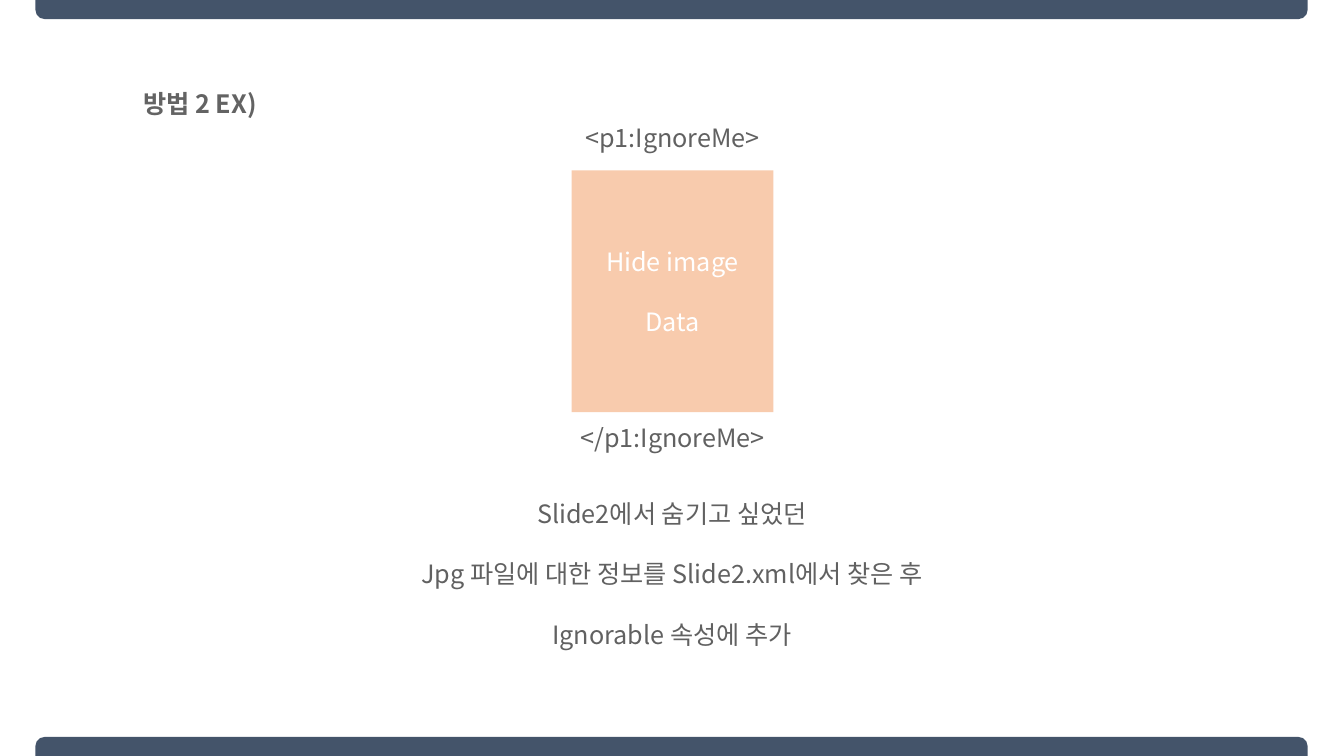
from dataclasses import dataclass

from lxml.etree import SubElement
from pptx import Presentation
from pptx.dml.color import RGBColor
from pptx.enum.shapes import MSO_SHAPE
from pptx.enum.text import MSO_ANCHOR, PP_ALIGN
from pptx.oxml.ns import qn
from pptx.util import Inches, Pt


@dataclass(frozen=True)
class Theme:
    """Colours, font and type sizes of the slide."""
    bar: RGBColor = RGBColor(0x44, 0x54, 0x6A)
    card: RGBColor = RGBColor(0xF8, 0xCB, 0xAD)
    heading: RGBColor = RGBColor(0x63, 0x63, 0x63)
    body: RGBColor = RGBColor(0x61, 0x61, 0x61)
    white: RGBColor = RGBColor(0xFF, 0xFF, 0xFF)
    font: str = "Noto Sans CJK KR"
    size: float = 18
    line: float = 21.6


THEME = Theme()


def write_lines(frame, lines, color, align=PP_ALIGN.CENTER, bold=False):
    """Write one paragraph per line, with one empty line's height between them."""
    frame.word_wrap = True
    for index, line in enumerate(lines):
        para = frame.paragraphs[0] if index == 0 else frame.add_paragraph()
        para.text = line
        para.alignment = align
        para.line_spacing = Pt(THEME.line)
        para.space_before = Pt(THEME.line if index else 0)
        font = para.font
        font.name, font.size, font.bold = THEME.font, Pt(THEME.size), bold
        font.color.rgb = color
        properties = para._p.pPr.find(qn("a:defRPr"))
        SubElement(properties, qn("a:ea")).set("typeface", THEME.font)


def add_text(slide, box, lines, color=THEME.body, **style):
    """Add a text box filling the given box."""
    frame = slide.shapes.add_textbox(*map(Inches, box)).text_frame
    write_lines(frame, lines, color, **style)


def add_filled_shape(slide, kind, box, color):
    """Add a flat shape without outline."""
    shape = slide.shapes.add_shape(kind, *map(Inches, box))
    shape.shadow.inherit = False
    shape.fill.solid()
    shape.fill.fore_color.rgb = color
    shape.line.fill.background()
    return shape


def add_edge_bars(slide, box):
    """Add the bars at the top and bottom edges, rounded towards the middle."""
    left, top, width, height = box
    thickness = 0.19
    for bar_top, rotation in ((top, 180), (top + height - thickness, 0)):
        bar = add_filled_shape(slide, MSO_SHAPE.ROUND_2_SAME_RECTANGLE,
                               (left, bar_top, width, thickness), THEME.bar)
        bar.adjustments[0] = 0.5
        bar.rotation = rotation


def add_tagged_card(slide, box):
    """Add the hidden data card between its opening and closing tags."""
    left, top, width, height = box
    tag_width, tag_height = 2.97, 0.71
    tag_left = left + (width - tag_width) / 2
    tags = (("<p1:IgnoreMe>", top - 0.53), ("</p1:IgnoreMe>", top + height + 0.05))
    for tag, tag_top in tags:
        add_text(slide, (tag_left, tag_top, tag_width, tag_height), [tag])
    card = add_filled_shape(slide, MSO_SHAPE.RECTANGLE, box, THEME.card)
    card.text_frame.vertical_anchor = MSO_ANCHOR.MIDDLE
    write_lines(card.text_frame, ["Hide image", "Data"], THEME.white)


def add_example_slide(deck):
    """Add the slide with the example of the second method."""
    slide = deck.slides.add_slide(deck.slide_layouts[6])
    add_edge_bars(slide, (0.35, 0, 12.62, 7.5))
    add_text(slide, (1.32, 0.83, 8.19, 0.4), ["방법 2 EX)"], THEME.heading,
             align=PP_ALIGN.LEFT, bold=True)
    add_text(slide, (2.57, 4.89, 8.19, 1.62), [
        "Slide2에서 숨기고 싶었던",
        "Jpg 파일에 대한 정보를 Slide2.xml에서 찾은 후",
        "Ignorable 속성에 추가",
    ])
    add_tagged_card(slide, (5.67, 1.69, 2, 2.4))


def main():
    """Build and save the deck."""
    deck = Presentation()
    deck.slide_width, deck.slide_height = Inches(13.33), Inches(7.5)
    add_example_slide(deck)
    deck.save("out.pptx")


if __name__ == "__main__":
    main()
